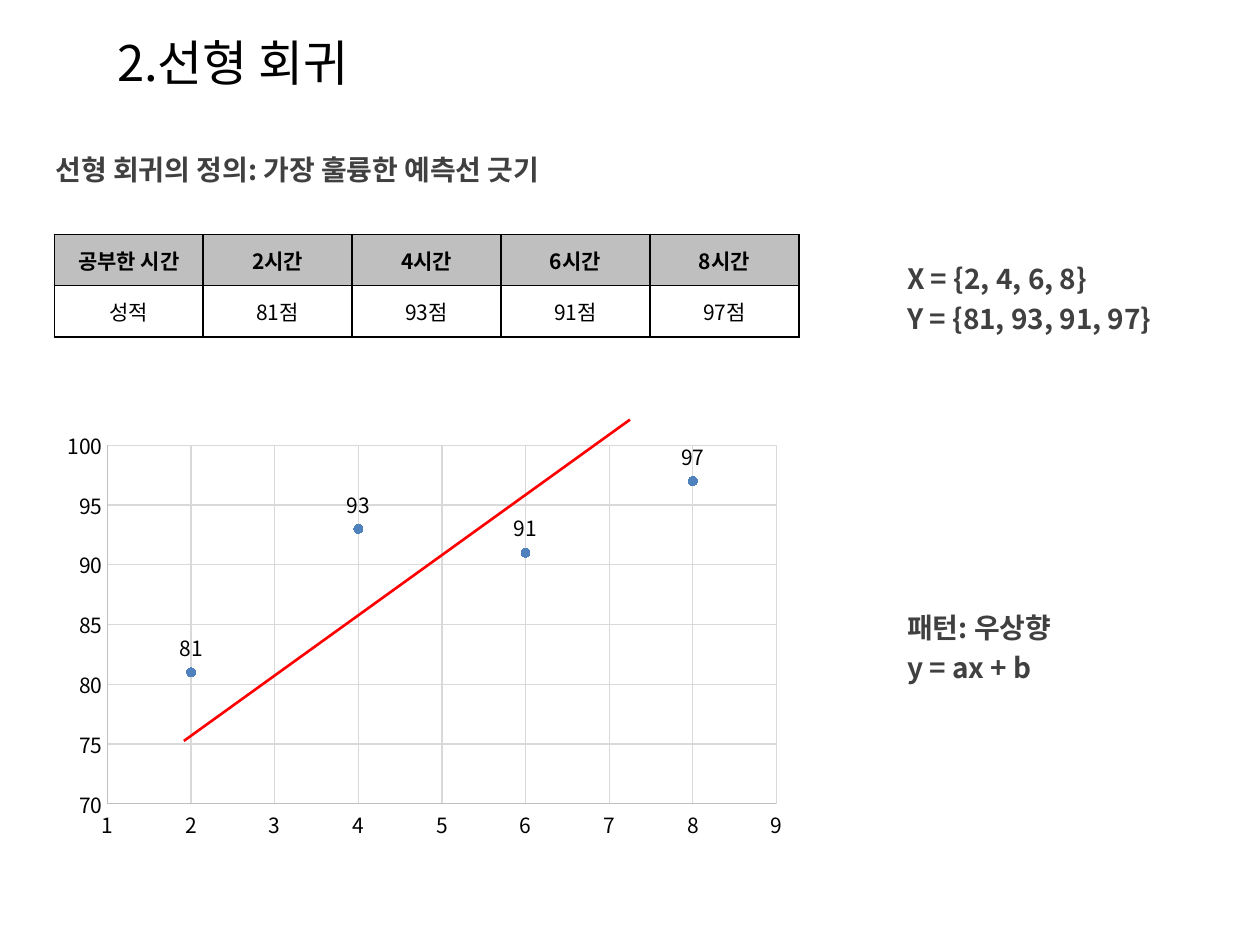
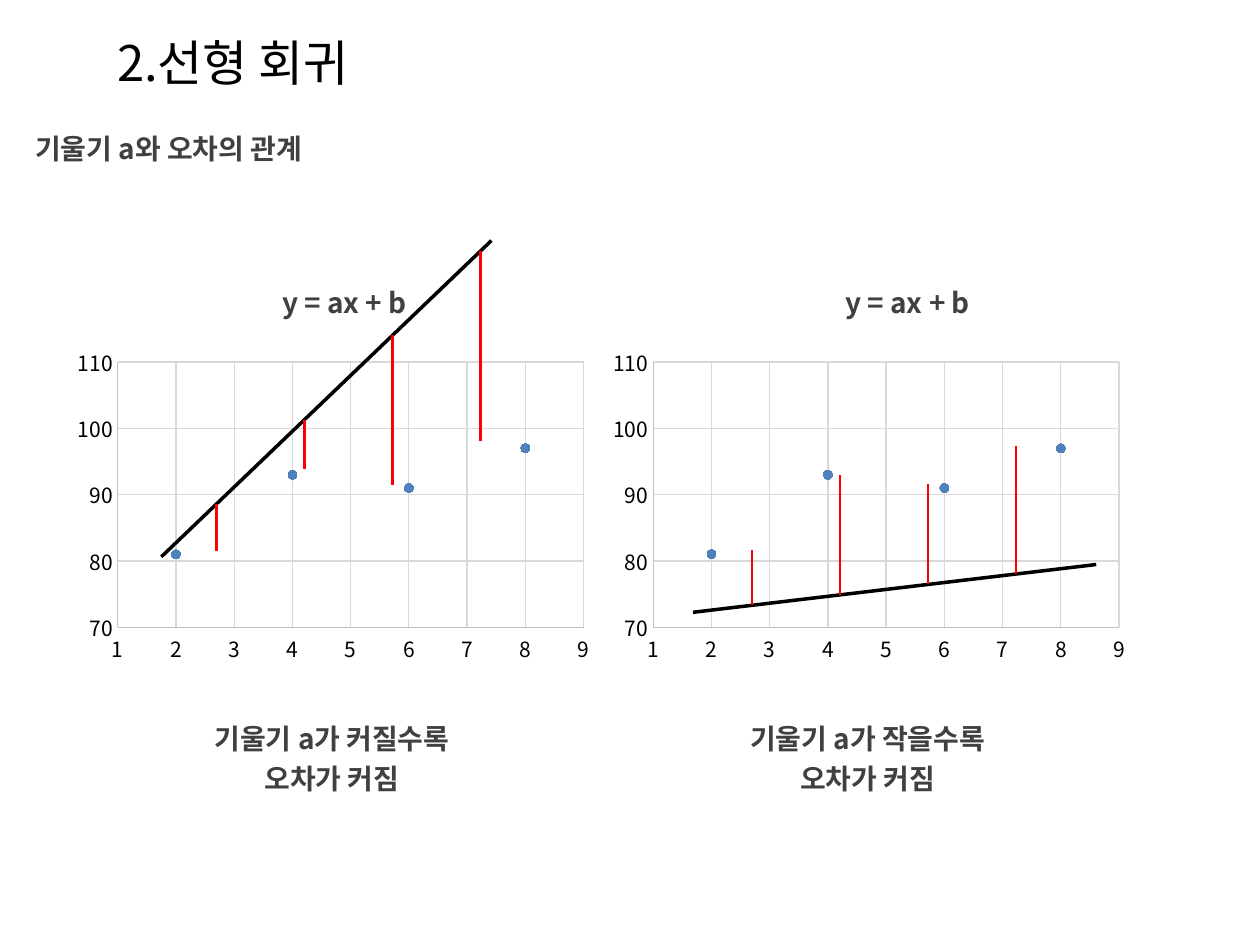
from dataclasses import dataclass
from typing import Any

import lxml.etree
import pptx
import pptx.chart.data
import pptx.chart.datalabel
import pptx.dml.color
import pptx.enum.chart
import pptx.enum.shapes
import pptx.enum.text
import pptx.oxml.ns
import pptx.util

Pt = pptx.util.Pt
qn = pptx.oxml.ns.qn
Align = pptx.enum.text.PP_ALIGN
Tick = pptx.enum.chart.XL_TICK_MARK
FONT = "Noto Sans CJK KR"
BLACK, DARK, RED, BLUE = "000000", "404040", "FF0000", "4F81BD"
WHITE, GRAY, GRID = "FFFFFF", "BFBFBF", "D9D9D9"
TITLE = {"size": Pt(28), "bold": False}
BODY = {"size": Pt(16), "bold": True}
SMALL = {"size": Pt(12), "bold": False}
HEAD = {"size": Pt(12), "bold": True}
BARE = {"margin_left": 0, "margin_top": 0, "margin_right": 0, "margin_bottom": 0,
        "auto_size": pptx.enum.text.MSO_AUTO_SIZE.SHAPE_TO_FIT_TEXT}
HOURS, MARKS = (2, 4, 6, 8), (81, 93, 91, 97)
FORMULA = "y = ax + b"


@dataclass
class Box:
    x: float
    y: float
    w: float
    h: float

    def span(self) -> tuple:
        return Pt(self.x), Pt(self.y), Pt(self.w), Pt(self.h)


@dataclass
class Line:
    x1: float
    y1: float
    x2: float
    y2: float
    color: str = RED
    width: float = 1.5

    def at(self, x: float) -> float:
        return self.y1 + (x - self.x1) * (self.y2 - self.y1) / (self.x2 - self.x1)


@dataclass
class Plot:
    box: Box
    low: int
    high: int
    step: int
    inner: Box
    labels: bool = False


@dataclass
class Panel:
    left: float
    note: str
    label: Box
    trend: Line
    first: float
    ends: tuple


def paint(text: str) -> Any:
    return pptx.dml.color.RGBColor.from_string(text)


def apply(target: Any, values: dict) -> None:
    for name, value in values.items():
        setattr(target, name, value)


def style(font: Any, values: dict, color: str) -> None:
    apply(font, {"name": FONT, **values})
    font.color.rgb = paint(color)


def write(para: Any, text: str, values: dict, color: str) -> None:
    run = para.add_run()
    run.text = text
    style(run.font, values, color)
    east = lxml.etree.SubElement(run.font._element, qn("a:ea"))
    east.set("typeface", FONT)


def stroke(line: Any, color: str, width: float) -> None:
    line.color.rgb = paint(color)
    line.width = Pt(width)


def add_text(slide: Any, box: Box, text: str, align: Any = Align.LEFT) -> None:
    frame = slide.shapes.add_textbox(*box.span()).text_frame
    apply(frame, {"word_wrap": True, **BARE})
    for i, row in enumerate(text.split("\n")):
        para = frame.add_paragraph() if i else frame.paragraphs[0]
        apply(para, {"line_spacing": 1.2, "alignment": align})
        write(para, row, BODY, DARK)


def add_title(slide: Any) -> None:
    frame = slide.shapes.add_textbox(*Box(59.8, 15.1, 538.6, 41).span()).text_frame
    frame.word_wrap = True
    para = frame.paragraphs[0]
    para.space_before = Pt(5.6)
    write(para, "2.선형 회귀", TITLE, BLACK)


def add_line(slide: Any, line: Line) -> None:
    ends = (Pt(v) for v in (line.x1, line.y1, line.x2, line.y2))
    shape = slide.shapes.add_connector(pptx.enum.shapes.MSO_CONNECTOR.STRAIGHT, *ends)
    stroke(shape.line, line.color, line.width)
    lxml.etree.SubElement(shape._element.spPr, qn("a:effectLst"))


def frame_cell(cell: Any) -> None:
    props = cell._tc.get_or_add_tcPr()
    for i, side in enumerate(("lnL", "lnR", "lnT", "lnB")):
        edge = lxml.etree.Element(qn(f"a:{side}"), w=str(Pt(1)))
        fill = lxml.etree.SubElement(edge, qn("a:solidFill"))
        lxml.etree.SubElement(fill, qn("a:srgbClr"), val=BLACK)
        props.insert(i, edge)


def add_grid(slide: Any, box: Box) -> None:
    rows = (["공부한 시간"] + [f"{n}시간" for n in HOURS],
            ["성적"] + [f"{n}점" for n in MARKS])
    table = slide.shapes.add_table(len(rows), len(rows[0]), *box.span()).table
    apply(table, {"first_row": False, "horz_banding": False})
    looks = ((GRAY, HEAD), (WHITE, SMALL))
    for r, (row, (fill, face)) in enumerate(zip(rows, looks)):
        for c, text in enumerate(row):
            cell = table.cell(r, c)
            cell.vertical_anchor = pptx.enum.text.MSO_ANCHOR.MIDDLE
            cell.fill.solid()
            cell.fill.fore_color.rgb = paint(fill)
            para = cell.text_frame.paragraphs[0]
            para.alignment = Align.CENTER
            write(para, text, face, BLACK)
            frame_cell(cell)


def place(chart: Any, inner: Box) -> None:
    area = chart._chartSpace.chart.plotArea
    for old in area.findall(qn("c:layout")):
        area.remove(old)
    layout = lxml.etree.Element(qn("c:layout"))
    manual = lxml.etree.SubElement(layout, qn("c:manualLayout"))
    parts = {"layoutTarget": "inner", "xMode": "edge", "yMode": "edge",
             "x": inner.x, "y": inner.y, "w": inner.w, "h": inner.h}
    for name, value in parts.items():
        lxml.etree.SubElement(manual, qn(f"c:{name}"), val=str(value))
    area.insert(0, layout)


def add_plot(slide: Any, plot: Plot) -> None:
    data = pptx.chart.data.XyChartData()
    series = data.add_series("Series 1")
    for x, y in zip(HOURS, MARKS):
        series.add_data_point(x, y)
    kind = pptx.enum.chart.XL_CHART_TYPE.XY_SCATTER
    chart = slide.shapes.add_chart(kind, *plot.box.span(), data).chart
    apply(chart, {"has_legend": False, "has_title": False})
    style(chart.font, SMALL, BLACK)
    place(chart, plot.inner)
    scales = ((chart.category_axis, 1, 9, 1),
              (chart.value_axis, plot.low, plot.high, plot.step))
    for axis, low, high, step in scales:
        apply(axis, {"minimum_scale": low, "maximum_scale": high, "major_unit": step,
                     "major_tick_mark": Tick.NONE, "minor_tick_mark": Tick.NONE,
                     "has_major_gridlines": True})
        style(axis.tick_labels.font, SMALL, BLACK)
        stroke(axis.format.line, GRAY, 0.75)
        stroke(axis.major_gridlines.format.line, GRID, 0.75)
    chart.plots[0].vary_by_categories = False
    dots = chart.plots[0].series[0]
    dots.format.line.fill.background()
    apply(dots.marker, {"style": pptx.enum.chart.XL_MARKER_STYLE.CIRCLE, "size": 5})
    dots.marker.format.fill.solid()
    dots.marker.format.fill.fore_color.rgb = paint(BLUE)
    stroke(dots.marker.format.line, BLUE, 0.75)
    if plot.labels:
        holder = dots._element.get_or_add_dLbls()
        labels = pptx.chart.datalabel.DataLabels(holder)
        apply(labels, {"show_value": True,
                       "position": pptx.enum.chart.XL_LABEL_POSITION.ABOVE})
        style(labels.font, SMALL, BLACK)


def add_panel(slide: Any, panel: Panel) -> None:
    add_text(slide, Box(panel.left + 31, 408.2, 244.1, 46.8), panel.note, Align.CENTER)
    add_plot(slide, Plot(Box(panel.left, 193.7, 306, 189.4), 70, 110, 10,
                         Box(0.1, 0.07, 0.87, 0.8)))
    add_line(slide, panel.trend)
    add_text(slide, panel.label, FORMULA)
    for i, end in enumerate(panel.ends):
        x = panel.first + i * 50.3
        add_line(slide, Line(x, end, x, panel.trend.at(x)))


def draw_fit(slide: Any) -> None:
    add_grid(slide, Box(31, 134, 425.5, 58.5))
    add_plot(slide, Plot(Box(31.7, 239.8, 424.8, 244), 70, 100, 5,
                         Box(0.07, 0.06, 0.9, 0.84), True))
    add_title(slide)
    add_text(slide, Box(518.4, 145.4, 187.2, 46.8),
             "X = {2, 4, 6, 8}\nY = {81, 93, 91, 97}")
    add_text(slide, Box(31.7, 83.5, 680.4, 21.6),
             "선형 회귀의 정의: 가장 훌륭한 예측선 긋기")
    add_text(slide, Box(518.4, 344.9, 164.2, 46.8), f"패턴: 우상향\n{FORMULA}")
    add_line(slide, Line(105.1, 423.4, 360, 239.8))


def draw_slopes(slide: Any) -> None:
    panels = (
        Panel(36.7, "기울기 a가 커질수록\n오차가 커짐", Box(161.3, 159.1, 73.4, 23),
              Line(92.2, 318.2, 280.8, 137.5, BLACK, 2), 123.8,
              (314.6, 268.1, 277.2, 252.2)),
        Panel(342.7, "기울기 a가 작을수록\n오차가 커짐", Box(483.1, 159.1, 81.4, 23),
              Line(396, 349.9, 626.4, 322.6, BLACK, 2), 429.8,
              (314.2, 271.4, 276.5, 254.9)),
    )
    for panel in panels:
        add_panel(slide, panel)
    add_text(slide, Box(20.2, 71.3, 680.4, 21.6), "기울기 a와 오차의 관계")
    add_title(slide)


def main() -> None:
    deck = pptx.Presentation()
    apply(deck, {"slide_width": Pt(720), "slide_height": Pt(540)})
    for draw in (draw_fit, draw_slopes):
        draw(deck.slides.add_slide(deck.slide_layouts[6]))
    deck.save("out.pptx")


if __name__ == "__main__":
    main()
